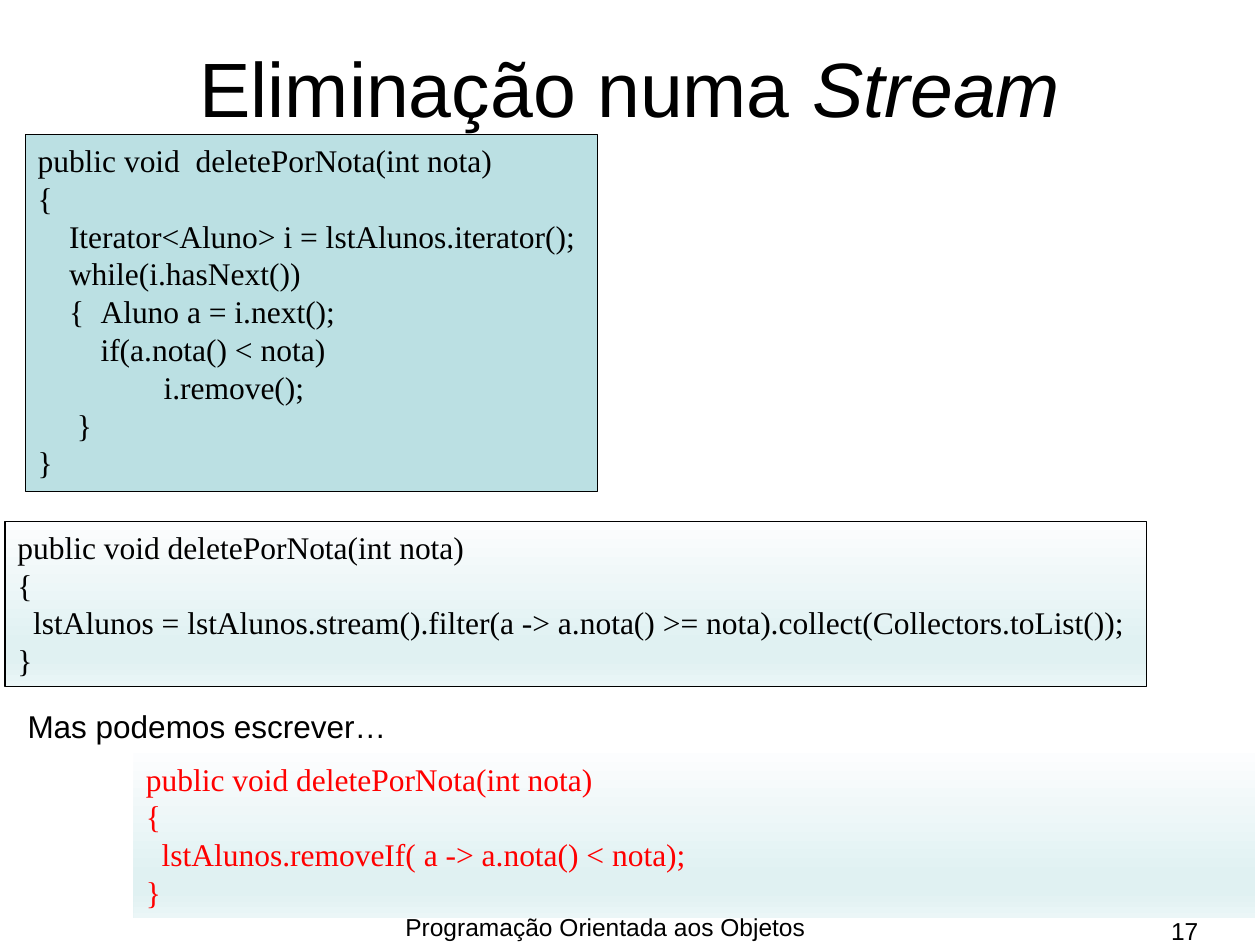
from lxml import etree
from pptx import Presentation
from pptx.dml.color import RGBColor
from pptx.enum.shapes import MSO_SHAPE
from pptx.enum.text import MSO_ANCHOR, MSO_AUTO_SIZE, PP_ALIGN
from pptx.oxml.ns import qn
from pptx.util import Inches, Pt

RECT = MSO_SHAPE.RECTANGLE
TOP, MIDDLE = MSO_ANCHOR.TOP, MSO_ANCHOR.MIDDLE
GROW, FIXED = MSO_AUTO_SIZE.SHAPE_TO_FIT_TEXT, MSO_AUTO_SIZE.NONE
LEFT, CENTER, RIGHT = PP_ALIGN.LEFT, PP_ALIGN.CENTER, PP_ALIGN.RIGHT

BLACK = RGBColor(0x00, 0x00, 0x00)
RED = RGBColor(0xFF, 0x00, 0x00)
TEAL = RGBColor(0xBB, 0xE0, 0xE3)
PALE_STOPS = [
    (0, RGBColor(0xFC, 0xFD, 0xFE)),
    (74, RGBColor(0xE0, 0xF1, 0xF2)),
    (83, RGBColor(0xE0, 0xF1, 0xF2)),
    (100, RGBColor(0xEB, 0xF6, 0xF7)),
]

ITERATOR_CODE = """public void  deletePorNota(int nota)
{
    Iterator<Aluno> i = lstAlunos.iterator();
    while(i.hasNext())
    {\tAluno a = i.next();
\tif(a.nota() < nota)
\t\ti.remove();
     }
}"""
STREAM_CODE = """public void deletePorNota(int nota)
{
  lstAlunos = lstAlunos.stream().filter(a -> a.nota() >= nota).collect(Collectors.toList());
}"""
REMOVE_IF_CODE = """public void deletePorNota(int nota)
{
  lstAlunos.removeIf( a -> a.nota() < nota);
}"""


def write(tf, text, size=18, font="Arial", color=BLACK, align=LEFT,
          anchor=TOP, wrap=True, fit=FIXED, italic_tail=""):
    """Fill a text frame, one paragraph a line, with an optional italic ending."""
    tf.word_wrap = wrap
    tf.auto_size = fit
    tf.vertical_anchor = anchor
    for i, line in enumerate(text.split("\n")):
        p = tf.add_paragraph() if i else tf.paragraphs[0]
        p.alignment = align
        for part, italic in ((line, None), (italic_tail, True)):
            if part:
                r = p.add_run()
                r.text = part
                r.font.name = font
                r.font.size = Pt(size)
                r.font.italic = italic
                r.font.color.rgb = color


class SlideBuilder:
    """Hold the code style and the current slide."""

    code_style = {"font": "Times New Roman", "size": 18, "fit": GROW}

    def __init__(self, s):
        self.s = s

    def text(self, x, y, w, h, text, **style):
        """Add a plain text box."""
        sp = self.s.shapes.add_textbox(Inches(x), Inches(y), Inches(w), Inches(h))
        write(sp.text_frame, text, **style)

    def code(self, x, y, w, h, text, fill=None, border=True, color=BLACK):
        """Add a code panel with a solid fill, or the pale gradient by default."""
        sp = self.s.shapes.add_shape(RECT, Inches(x), Inches(y), Inches(w), Inches(h))
        sp.shadow.inherit = False
        if fill is None:
            self.gradient(sp)
        else:
            sp.fill.solid()
            sp.fill.fore_color.rgb = fill
        if border:
            sp.line.color.rgb = BLACK
            sp.line.width = Pt(0.75)
        else:
            sp.line.fill.background()
        write(sp.text_frame, text, color=color, **self.code_style)

    def gradient(self, sp):
        """Give a shape the pale gradient from top to bottom."""
        sp.fill.gradient()
        sp.fill.gradient_angle = 270
        stops = next(sp.element.iter(qn("a:gsLst")))
        for gs in list(stops):
            stops.remove(gs)
        for pos, color in PALE_STOPS:
            gs = etree.SubElement(stops, qn("a:gs"), pos=str(pos * 1000))
            etree.SubElement(gs, qn("a:srgbClr"), val=str(color))


def main():
    """Build the slide and save it."""
    prs = Presentation()
    prs.slide_width, prs.slide_height = Inches(10), Inches(7.5)
    b = SlideBuilder(prs.slides.add_slide(prs.slide_layouts[6]))
    b.text(0.5, 0.06, 9, 1.25, "Eliminação numa ", italic_tail="Stream",
           size=44, align=CENTER, anchor=MIDDLE)
    b.text(2.48, 7.19, 4.65, 0.31, "Programação Orientada aos Objetos",
           size=14, align=CENTER)
    b.text(7.28, 7.22, 2.33, 0.21, "17", size=14, align=RIGHT)
    b.code(0.2, 1.07, 4.54, 2.83, ITERATOR_CODE, fill=TEAL)
    b.code(0.04, 4.14, 9.06, 1.31, STREAM_CODE)
    b.code(1.06, 5.98, 8.9, 1.31, REMOVE_IF_CODE, border=False, color=RED)
    b.text(0.12, 5.56, 3.08, 0.4, "Mas podemos escrever…", wrap=False, fit=GROW)
    prs.save("out.pptx")


if __name__ == "__main__":
    main()
